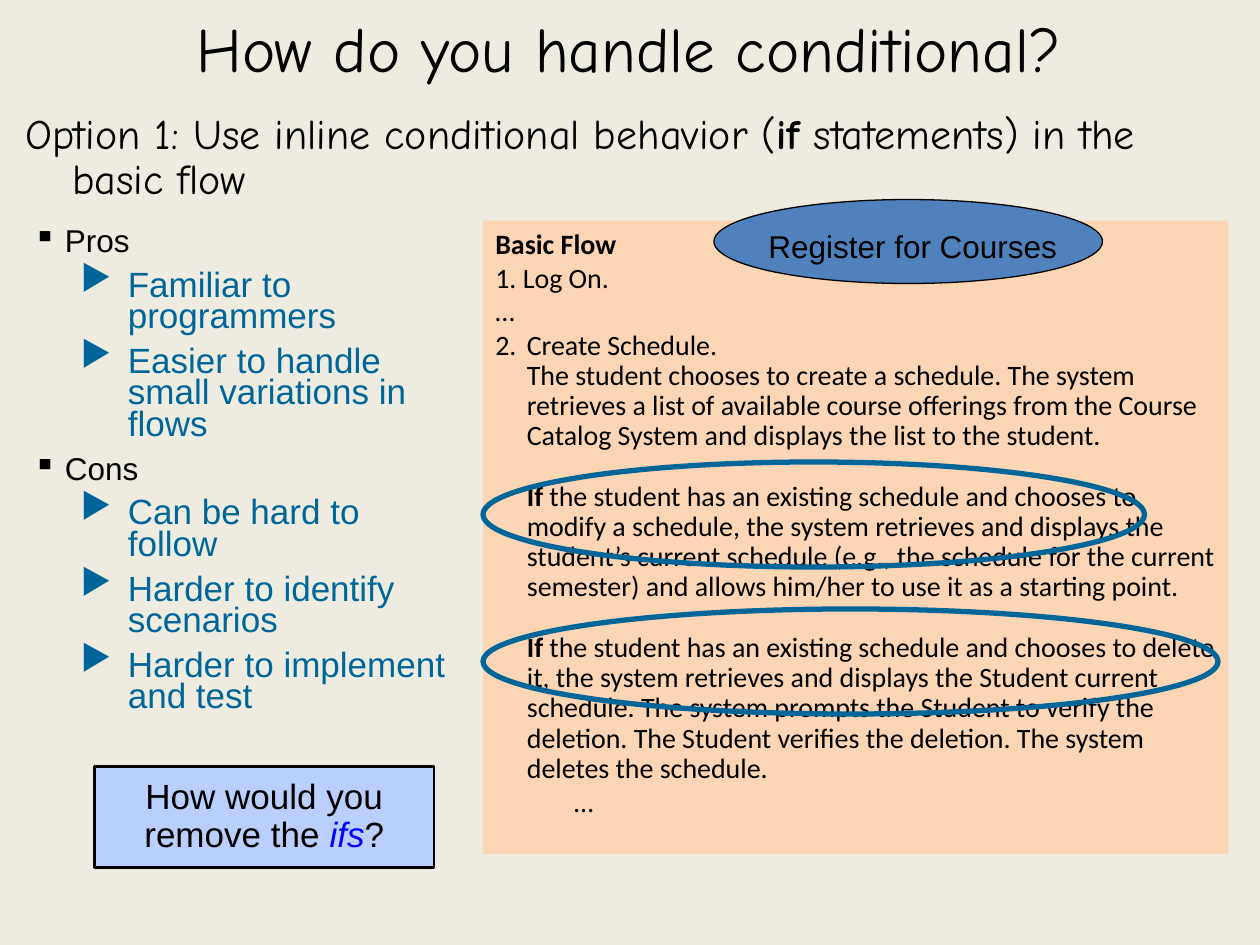
from lxml.etree import SubElement
from pptx import Presentation
from pptx.dml.color import RGBColor
from pptx.enum.shapes import MSO_SHAPE as SHAPE
from pptx.enum.text import MSO_ANCHOR as ANCHOR, PP_ALIGN as ALIGN
from pptx.oxml.ns import qn
from pptx.util import Pt

BLACK, TEAL = "000000", "006699"
PROS_CONS = [
    ("Pros", ["Familiar to programmers", "Easier to handle small variations in flows"]),
    ("Cons", ["Can be hard to follow", "Harder to identify scenarios",
              "Harder to implement and test"]),
]
STEPS = ["1. Log On.", "…", "2.\tCreate Schedule."]
CREATE = ("The student chooses to create a schedule. The system retrieves a list of "
          "available course offerings from the Course Catalog System and displays "
          "the list to the student.")
CONDITIONS = [
    "the student has an existing schedule and chooses to modify a schedule, the system "
    "retrieves and displays the student’s current schedule (e.g., the schedule for the "
    "current semester) and allows him/her to use it as a starting point.",
    "the student has an existing schedule and chooses to delete it, the system retrieves "
    "and displays the Student current schedule. The system prompts the Student to verify "
    "the deletion. The Student verifies the deletion. The system deletes the schedule.",
]


def rgb(color):
    return RGBColor.from_string(color)


def add_text(tf, text, size=16, font="Calibri", color=BLACK, bold=False, italic=False,
             align=ALIGN.LEFT, spacing=1.0, before=0, left=0, hang=0, bullet=None,
             same_line=False):
    p = tf.paragraphs[-1]
    if not same_line:
        first = not p.runs
        if not first:
            p = tf.add_paragraph()
        p.alignment, p.line_spacing = align, spacing
        p.space_before = Pt(0 if first else before)
        pPr = p._p.get_or_add_pPr()
        pPr.set("marL", str(Pt(left)))
        pPr.set("indent", str(-Pt(hang)))
        if bullet:
            SubElement(SubElement(pPr, qn("a:buClr")), qn("a:srgbClr"), val=color)
            SubElement(pPr, qn("a:buChar"), char=bullet)
    r = p.add_run()
    r.text = text
    r.font.size, r.font.name = Pt(size), font
    r.font.bold, r.font.italic = bold, italic
    r.font.color.rgb = rgb(color)


def prepare_frame(tf, inset, anchor=ANCHOR.TOP):
    tf.word_wrap, tf.vertical_anchor = True, anchor
    tf.margin_left = tf.margin_right = Pt(7.2)
    tf.margin_top = tf.margin_bottom = Pt(inset)
    return tf


def add_box(shapes, x, y, w, h, anchor=ANCHOR.TOP):
    sp = shapes.add_textbox(Pt(x), Pt(y), Pt(w), Pt(h))
    return prepare_frame(sp.text_frame, 3.6, anchor)


def add_shape(shapes, kind, x, y, w, h, fill=None, line=None, width=0, inset=3.6):
    sp = shapes.add_shape(kind, Pt(x), Pt(y), Pt(w), Pt(h))
    sp.shadow.inherit = False
    if fill:
        sp.fill.solid()
        sp.fill.fore_color.rgb = rgb(fill)
    else:
        sp.fill.background()
    if line:
        sp.line.color.rgb = rgb(line)
        sp.line.width = Pt(width)
    else:
        sp.line.fill.background()
    return prepare_frame(sp.text_frame, inset)


def add_headings(shapes):
    tf = add_box(shapes, 5, 6, 708.5, 42, ANCHOR.MIDDLE)
    add_text(tf, "How do you handle conditional?", size=36, font="Comic Neue",
             align=ALIGN.CENTER)
    tf = add_box(shapes, 7.2, 61.2, 671, 60)
    style = dict(size=24, font="Comic Neue")
    add_text(tf, "Option 1: Use inline conditional behavior (", spacing=0.9,
             left=27, hang=27, **style)
    add_text(tf, "if", bold=True, same_line=True, **style)
    add_text(tf, " statements) in the basic flow", same_line=True, **style)


def add_pros_cons(shapes):
    tf = add_box(shapes, 12, 126, 252, 288)
    for heading, points in PROS_CONS:
        add_text(tf, heading, size=18, font="Arial", spacing=0.85, before=6.8,
                 left=18, hang=18, bullet="▪")
        for point in points:
            add_text(tf, point, size=20, font="Arial", color=TEAL, spacing=0.75,
                     before=7.5, left=54, hang=27, bullet="▶")


def add_question(shapes):
    tf = add_shape(shapes, SHAPE.RECTANGLE, 54, 438, 194, 57.6, "B9D0FF", BLACK, 1.5,
                   inset=7.2)
    style = dict(size=20, font="Arial")
    add_text(tf, "How would you remove the ", align=ALIGN.CENTER, spacing=0.9, **style)
    add_text(tf, "ifs", color="0000FF", italic=True, same_line=True, **style)
    add_text(tf, "?", same_line=True, **style)


def add_basic_flow(shapes):
    tf = add_shape(shapes, SHAPE.RECTANGLE, 276, 126, 426, 362, "FCD5B5")
    add_text(tf, "Basic Flow", bold=True)
    for step in STEPS:
        add_text(tf, step, left=18, hang=18)
    add_text(tf, CREATE, spacing=0.9, left=18)
    for condition in CONDITIONS:
        add_text(tf, "If ", bold=True, spacing=0.9, before=17.4, left=18)
        add_text(tf, condition, same_line=True)
    add_text(tf, "…", left=45)


def add_use_case(shapes):
    group = shapes.add_group_shape().shapes
    add_shape(group, SHAPE.OVAL, 408, 114, 222, 48, "4F81BD", BLACK, 0.75)
    tf = add_box(group, 432, 126, 186, 29)
    add_text(tf, "Register for Courses", size=18, font="Arial")


def main():
    prs = Presentation()
    prs.slide_width, prs.slide_height = Pt(720), Pt(540)
    s = prs.slides.add_slide(prs.slide_layouts[6])
    s.background.fill.solid()
    s.background.fill.fore_color.rgb = rgb("EEECE1")
    add_headings(s.shapes)
    add_pros_cons(s.shapes)
    add_question(s.shapes)
    add_basic_flow(s.shapes)
    for y, w in ((264, 378), (348, 420)):
        add_shape(s.shapes, SHAPE.OVAL, 276, y, w, 60, line=TEAL, width=3)
    add_use_case(s.shapes)
    prs.save("out.pptx")


if __name__ == "__main__":
    main()
